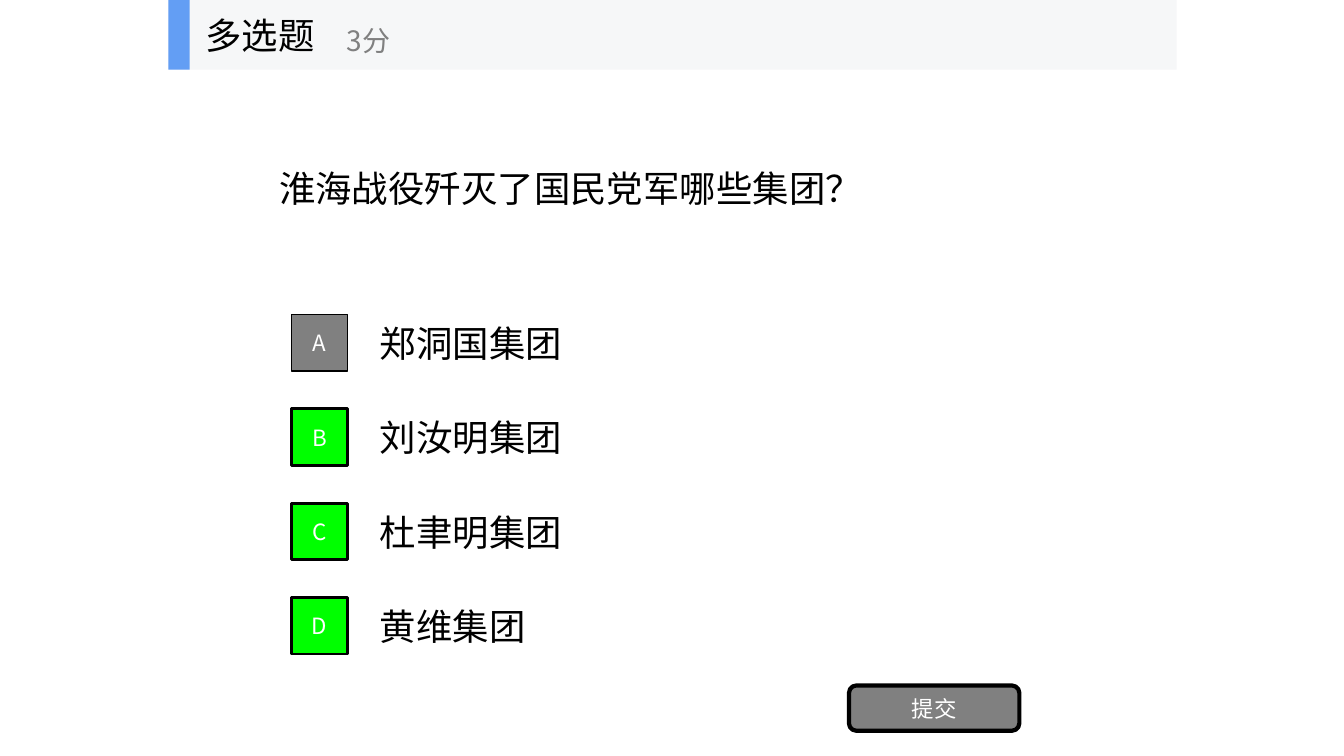
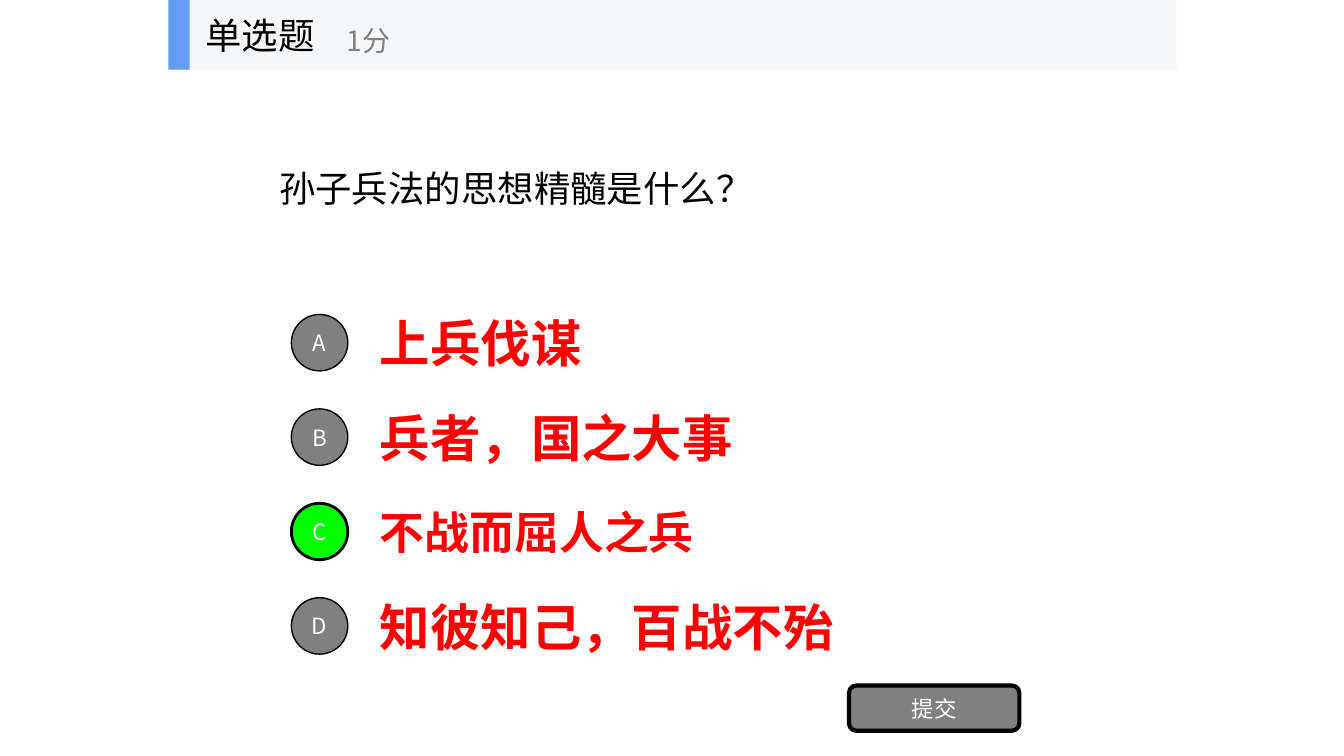
from lxml.etree import SubElement
from pptx import Presentation
from pptx.dml.color import RGBColor
from pptx.enum.shapes import MSO_SHAPE as Geo
from pptx.enum.text import MSO_ANCHOR as Anchor, PP_ALIGN as Align
from pptx.oxml.ns import qn
from pptx.util import Inches, Pt

BLACK = RGBColor(0x00, 0x00, 0x00)
WHITE = RGBColor(0xFF, 0xFF, 0xFF)
GRAY = RGBColor(0x80, 0x80, 0x80)
GREEN = RGBColor(0x00, 0xFF, 0x00)
RED = RGBColor(0xFF, 0x00, 0x00)
BLUE = RGBColor(0x63, 0x9E, 0xF4)
PALE = RGBColor(0xF6, 0xF7, 0xF8)
SANS = "Noto Sans CJK SC"

TOP, LAST, COUNT = 3.05, 5.86, 4
STEP = (LAST - TOP) / (COUNT - 1)
KEY = 0.56


def run(text, size=26, color=BLACK, font=SANS, bold=False):
    return text, size, color, font, bold


def red(text, size=36, font=SANS):
    return run(text, size, RED, font, True)


class Quiz:
    def __init__(self):
        self.deck = Presentation()
        self.deck.slide_width = Inches(13.33)
        self.deck.slide_height = Inches(7.5)
        self.shapes = None

    def page(self):
        layout = self.deck.slide_layouts[6]
        self.shapes = self.deck.slides.add_slide(layout).shapes

    def fill_text(self, frame, runs, align):
        frame.word_wrap = True
        frame.vertical_anchor = Anchor.MIDDLE
        para = frame.paragraphs[0]
        para.alignment = align
        for text, size, color, face, bold in runs:
            part = para.add_run()
            part.text = text
            font = part.font
            font.size, font.bold, font.name = Pt(size), bold, face
            font.color.rgb = color
            # Chinese glyphs take the East Asian typeface
            SubElement(font._element, qn("a:ea"), typeface=SANS)

    def text(self, box, *runs, host=None):
        item = (host or self.shapes).add_textbox(*map(Inches, box))
        self.fill_text(item.text_frame, runs, Align.LEFT)

    def block(self, box, fill, geo=Geo.RECTANGLE, host=None):
        item = (host or self.shapes).add_shape(geo, *map(Inches, box))
        item.shadow.inherit = False
        item.fill.solid()
        item.fill.fore_color.rgb = fill
        item.line.fill.background()
        return item

    def button(self, box, label, fill, geo, width):
        """Outlined shape with a centred white label."""
        item = self.block(box, fill, geo)
        item.line.color.rgb = BLACK
        item.line.width = Pt(width)
        frame = item.text_frame
        frame.margin_left = frame.margin_right = 0
        frame.margin_top = frame.margin_bottom = 0
        self.fill_text(frame, [run(label, 16, WHITE)], Align.CENTER)

    def header(self, kind, score):
        host = self.shapes.add_group_shape().shapes
        self.block((1.67, 0, 10, 0.69), PALE, host=host)
        self.block((1.67, 0, 0.21, 0.69), BLUE, host=host)
        self.text((1.94, 0, 2.08, 0.69), run(kind), host=host)
        self.text((3.34, 0.12, 2.5, 0.56), run(score, 20, GRAY), host=host)

    def choices(self, answers, right, geo):
        for i, runs in enumerate(answers):
            self.text((3.67, TOP + i * STEP, 7, 0.7), *runs)
        for i, key in enumerate("ABCD"):
            hit = key in right
            box = (2.89, TOP + 0.07 + i * STEP, KEY, KEY)
            self.button(box, key, GREEN if hit else GRAY, geo, 2 if hit else 1)

    def question(self, kind, score, ask, answers, right, geo):
        self.page()
        self.text((2.67, 0.69, 8, 2.34), run(ask))
        self.choices(answers, right, geo)
        self.button((8.42, 6.8, 1.69, 0.45), "提交", GRAY,
                    Geo.ROUNDED_RECTANGLE, 3)
        self.header(kind, score)


def main():
    quiz = Quiz()
    groups = ["郑洞国集团", "刘汝明集团", "杜聿明集团", "黄维集团"]
    quiz.question("多选题", "3分", "淮海战役歼灭了国民党军哪些集团？",
                  [[run(name)] for name in groups], "BCD", Geo.RECTANGLE)
    maxims = [
        [red("上", font="Arial"), red("兵伐谋")],
        [red("兵者，国之大事")],
        [red("不战而屈人之兵", 32, "Times New Roman")],
        [red("知彼知己，百战不殆")],
    ]
    quiz.question("单选题", "1分", "孙子兵法的思想精髓是什么？",
                  maxims, "C", Geo.OVAL)
    quiz.deck.save("out.pptx")


if __name__ == "__main__":
    main()
